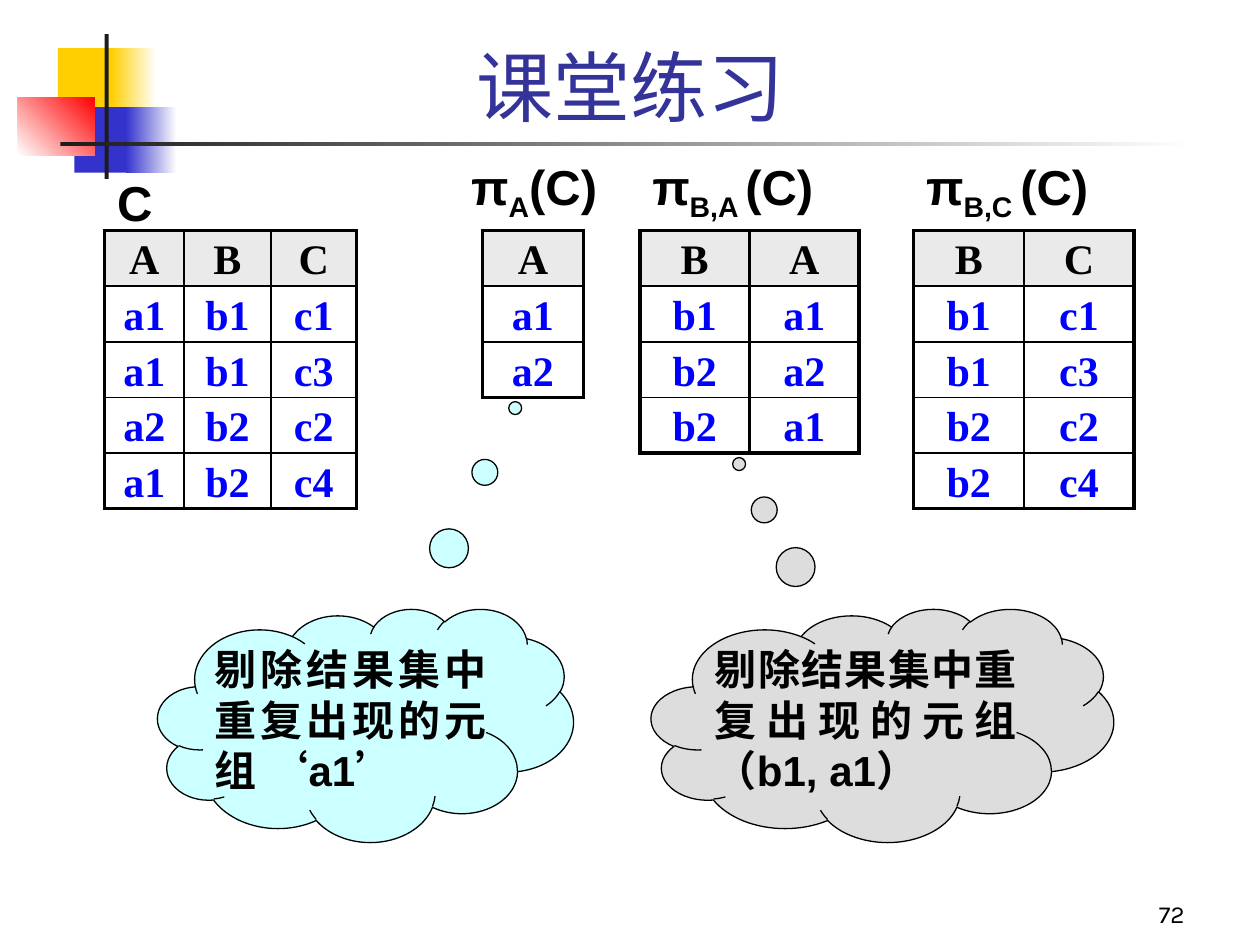
from lxml.etree import SubElement
from pptx import Presentation
from pptx.dml.color import RGBColor
from pptx.enum.shapes import MSO_SHAPE as Shape
from pptx.enum.text import MSO_ANCHOR as Anchor, PP_ALIGN as Align
from pptx.oxml.ns import qn
from pptx.util import Cm, Pt

BLACK = RGBColor(0x00, 0x00, 0x00)
WHITE = RGBColor(0xFF, 0xFF, 0xFF)
CHARCOAL = RGBColor(0x1C, 0x1C, 0x1C)
YELLOW = RGBColor(0xFF, 0xCF, 0x01)
BLUE = RGBColor(0x33, 0x33, 0xCC)
RED = RGBColor(0xFF, 0x00, 0x00)
TITLE_BLUE = RGBColor(0x33, 0x33, 0x99)
VALUE_BLUE = RGBColor(0x00, 0x00, 0xFF)
HEADER_GRAY = RGBColor(0xEA, 0xEA, 0xEA)
CLOUD_CYAN = RGBColor(0xCC, 0xFF, 0xFF)
CLOUD_GRAY = RGBColor(0xDD, 0xDD, 0xDD)

CJK_FONT = "Noto Sans CJK SC"
THIN, THICK = Pt(1), Pt(2.25)
ROW_HEIGHT = Cm(1.12)
TABLE_TOP = 4.65


def style_paragraph(para, size, font, color, align, bold=True):
    para.alignment = align
    para.font.size = Pt(size)
    para.font.bold = bold
    para.font.color.rgb = color
    para.font.name = font
    defaults = para._p.pPr.find(qn("a:defRPr"))
    SubElement(defaults, qn("a:ea")).set("typeface", CJK_FONT)


def add_bar(page, place, color, end_color=None, angle=0):
    bar = page.shapes.add_shape(Shape.RECTANGLE, *map(Cm, place))
    bar.shadow.inherit = False
    bar.line.fill.background()
    if end_color is None:
        bar.fill.solid()
        bar.fill.fore_color.rgb = color
    else:
        bar.fill.gradient()
        bar.fill.gradient_angle = angle
        for stop, stop_color in zip(bar.fill.gradient_stops, (color, end_color)):
            stop.color.rgb = stop_color


def add_decoration(page):
    add_bar(page, (1.17, 0.97, 1.22, 1.32), YELLOW)
    add_bar(page, (2.24, 0.97, 0.91, 1.32), YELLOW, WHITE)
    add_bar(page, (1.5, 2.16, 1.17, 1.32), BLUE)
    add_bar(page, (2.54, 2.16, 1.02, 1.32), BLUE, WHITE)
    add_bar(page, (0.36, 1.96, 1.55, 1.17), WHITE, RED, angle=45)
    add_bar(page, (2.11, 0.69, 0.08, 2.92), CHARCOAL)
    add_bar(page, (1.22, 2.87, 22.86, 0.08), CHARCOAL, WHITE)


def add_text(page, place, text, size, font, color, align, anchor, bold=False):
    box = page.shapes.add_textbox(*map(Cm, place))
    frame = box.text_frame
    frame.word_wrap = True
    frame.vertical_anchor = anchor
    para = frame.paragraphs[0]
    para.text = text
    style_paragraph(para, size, font, color, align, bold)
    return box


def add_label(page, left, top, width, text, subscript="", argument=""):
    box = add_text(page, (left, top, width, 1.19), text, 28, "Arial", BLACK,
                   Align.JUSTIFY, Anchor.TOP, bold=True)
    frame = box.text_frame
    frame.margin_top = frame.margin_bottom = 0
    if subscript:
        para = frame.paragraphs[0]
        span = para.add_run()
        span.text = subscript
        span._r.get_or_add_rPr().set("baseline", "-25000")
        para.add_run().text = argument


def set_border(cell, side, width):
    line = SubElement(cell._tc.get_or_add_tcPr(), qn(f"a:ln{side}"), w=str(width))
    fill = SubElement(line, qn("a:solidFill"))
    SubElement(fill, qn("a:srgbClr"), val=str(BLACK))


def fill_cell(cell, text, is_header):
    cell.vertical_anchor = Anchor.MIDDLE
    cell.margin_top = cell.margin_bottom = 0
    if is_header:
        cell.fill.solid()
        cell.fill.fore_color.rgb = HEADER_GRAY
    else:
        cell.fill.background()
    para = cell.text_frame.paragraphs[0]
    para.text = text
    para.line_spacing = 1.1
    style_paragraph(para, 24, "Times New Roman",
                    BLACK if is_header else VALUE_BLUE, Align.CENTER)


def add_relation(page, left, widths, lines, divider=THIN):
    rows = [line.split() for line in lines]
    last_row, last_column = len(rows) - 1, len(widths) - 1
    table = page.shapes.add_table(len(rows), len(widths), Cm(left), Cm(TABLE_TOP),
                                  Cm(sum(widths)), ROW_HEIGHT * len(rows)).table
    table.first_row = table.horz_banding = False
    for column, width in zip(table.columns, widths):
        column.width = Cm(width)
    for r, row in enumerate(rows):
        table.rows[r].height = ROW_HEIGHT
        for c, text in enumerate(row):
            cell = table.cell(r, c)
            set_border(cell, "L", THICK if c == 0 else divider)
            set_border(cell, "R", THICK if c == last_column else divider)
            set_border(cell, "T", THICK if r == 0 else THIN)
            set_border(cell, "B", THICK if r == last_row else THIN)
            fill_cell(cell, text, r == 0)


def add_cloud(page, left, width, color, pointer, text):
    cloud = page.shapes.add_shape(Shape.CLOUD_CALLOUT, Cm(left), Cm(12.27),
                                  Cm(width), Cm(4.7))
    cloud.shadow.inherit = False
    cloud.adjustments[0], cloud.adjustments[1] = pointer
    cloud.fill.solid()
    cloud.fill.fore_color.rgb = color
    cloud.line.color.rgb = BLACK
    cloud.line.width = Pt(0.75)
    frame = cloud.text_frame
    frame.word_wrap = True
    frame.vertical_anchor = Anchor.TOP
    frame.margin_left = frame.margin_right = 0
    frame.margin_top = frame.margin_bottom = 0
    para = frame.paragraphs[0]
    para.text = text
    style_paragraph(para, 24, "Arial", BLACK, Align.JUSTIFY)


def main():
    deck = Presentation()
    deck.slide_width, deck.slide_height = Cm(25.4), Cm(19.05)
    page = deck.slides.add_slide(deck.slide_layouts[6])

    add_decoration(page)
    add_text(page, (1.9, 0.64, 21.64, 2.18), "课堂练习", 44, CJK_FONT, TITLE_BLUE,
             Align.CENTER, Anchor.MIDDLE)

    add_relation(page, 2.11, (1.6, 1.75, 1.73),
                 ("A B C", "a1 b1 c1", "a1 b1 c3", "a2 b2 c2", "a1 b2 c4"))
    add_relation(page, 9.73, (2.03,), ("A", "a1", "a2"))
    add_relation(page, 12.9, (2.21, 2.21), ("B A", "b1 a1", "b2 a2", "b2 a1"),
                 divider=THICK)
    add_relation(page, 18.42, (2.22, 2.22),
                 ("B C", "b1 c1", "b1 c3", "b2 c2", "b2 c4"))

    add_label(page, 2.11, 3.48, 5.08, "C")
    add_label(page, 9.25, 3.15, 3.66, "π", "A", "(C)")
    add_label(page, 12.9, 3.15, 5.08, "π", "B,A ", "(C)")
    add_label(page, 18.42, 3.15, 5.08, "π", "B,C ", "(C)")

    add_cloud(page, 3.18, 8.38, CLOUD_CYAN, (0.36, -1.36),
              "剔除结果集中重复出现的元组 ‘a1’")
    add_cloud(page, 13.13, 9.32, CLOUD_GRAY, (-0.31, -1.12),
              "剔除结果集中重复出现的元组（b1, a1）")
    add_text(page, (18.85, 17.58, 5.28, 1.27), "72", 14, "Karla", BLACK,
             Align.RIGHT, Anchor.BOTTOM)
    deck.save("out.pptx")


if __name__ == "__main__":
    main()
